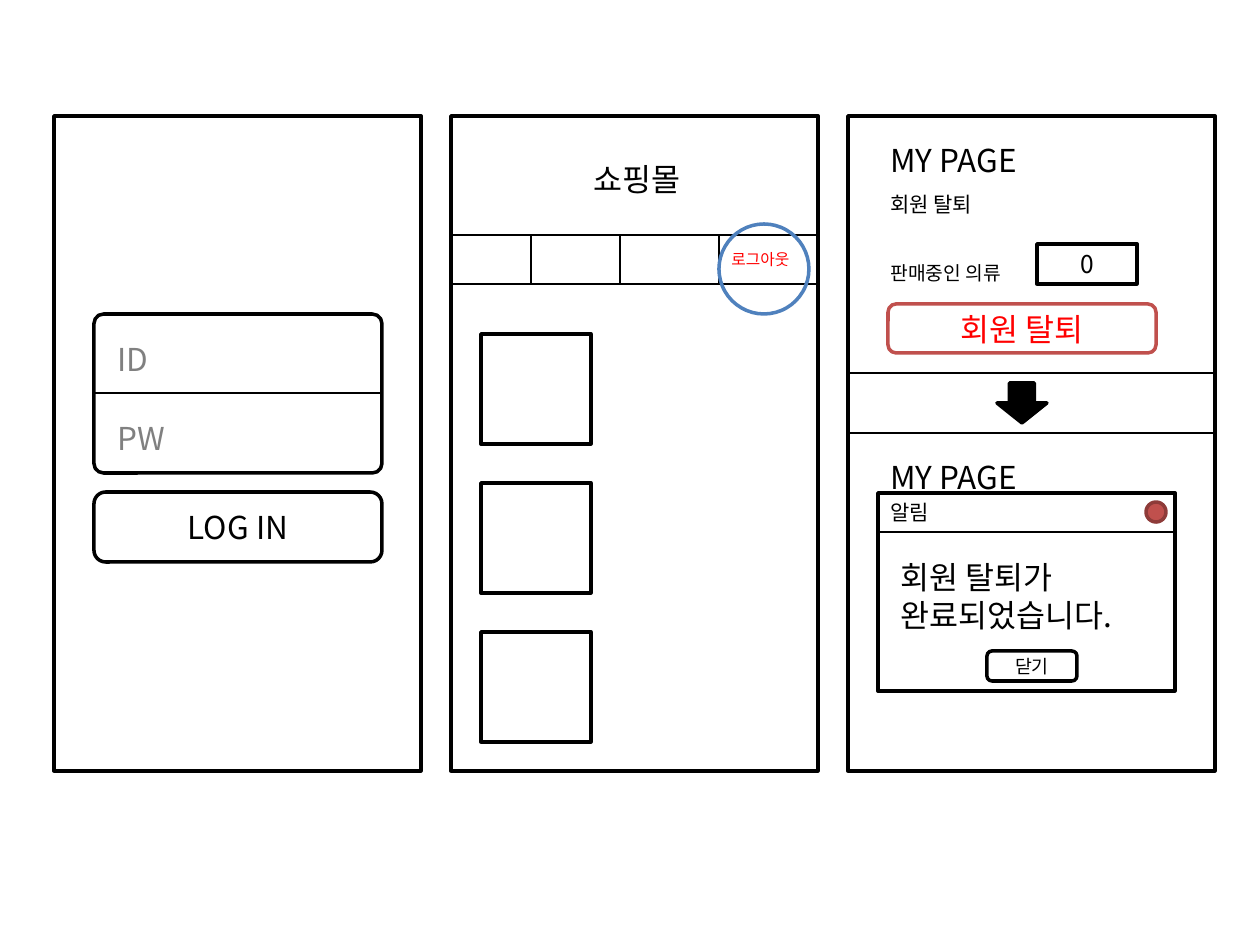
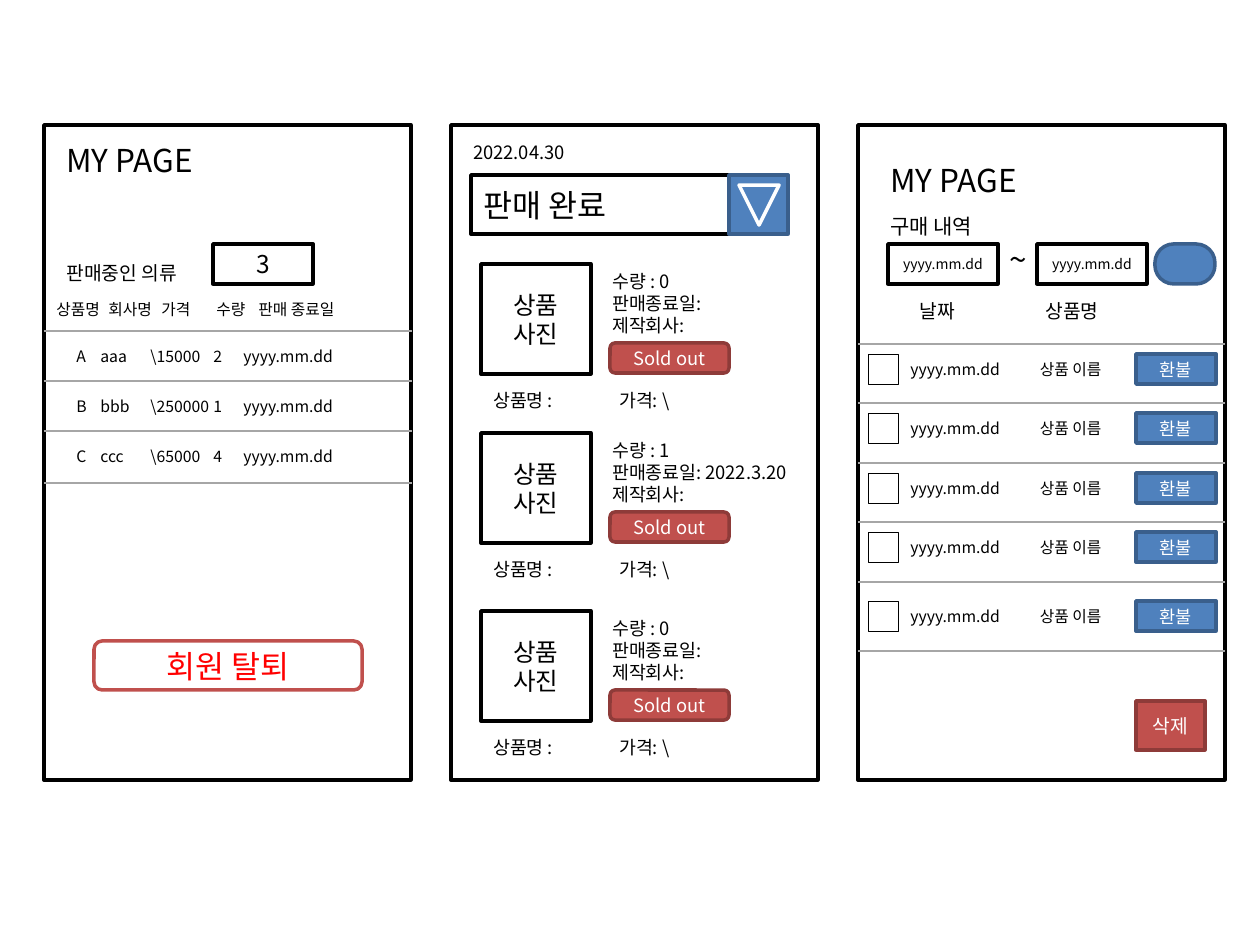
from lxml import etree
from pptx import Presentation
from pptx.dml.color import RGBColor
from pptx.enum.shapes import MSO_CONNECTOR, MSO_SHAPE as SHP
from pptx.enum.text import MSO_ANCHOR, PP_ALIGN
from pptx.oxml.ns import qn
from pptx.util import Pt

PX = 914400 / 126  # EMU per px
FONT = "Noto Sans CJK KR"
C = {
    "black": "000000", "white": "FFFFFF", "hint": "808080", "rule": "A6A6A6",
    "blue": "4F81BD", "navy": "3A5F8C", "red": "C0504D", "maroon": "8E3B39",
    "alert": "FF0000",
}
PANEL_W, PANEL_H = 367, 655
RECT, ROUND = SHP.RECTANGLE, SHP.ROUNDED_RECTANGLE
WITHDRAW = dict(text="회원 탈퇴", size=18, color="alert", line="red")
SOLID_BLUE = dict(fill="blue", line="navy", color="white")
SOLID_RED = dict(fill="red", line="maroon", color="white")


def box(s, kind, x, y, w, h, text="", size=18, color="black", fill="white",
        line="black", width=2, align=PP_ALIGN.CENTER, tabs=()):
    """Add a preset shape, or a plain text box when kind is None."""
    frame = [round(v * PX) for v in (x, y, w, h)]
    if kind is None:
        sp = s.shapes.add_textbox(*frame)
        align = PP_ALIGN.LEFT
    else:
        sp = s.shapes.add_shape(kind, *frame)
        sp.shadow.inherit = False
        if fill:
            sp.fill.solid()
            sp.fill.fore_color.rgb = RGBColor.from_string(C[fill])
        else:
            sp.fill.background()
        sp.line.color.rgb = RGBColor.from_string(C[line])
        sp.line.width = Pt(width)
        sp.text_frame.vertical_anchor = MSO_ANCHOR.MIDDLE
    tf = sp.text_frame
    tf.word_wrap = True
    if not text:
        return sp
    for i, words in enumerate(text.split("\n")):
        p = tf.add_paragraph() if i else tf.paragraphs[0]
        p.add_run().text = words
        p.alignment = align
        p.font.size = Pt(size)
        p.font.color.rgb = RGBColor.from_string(C[color])
        p.font.name = FONT
        pPr = p._p.pPr
        etree.SubElement(pPr.find(qn("a:defRPr")), qn("a:ea"), typeface=FONT)
        if tabs:
            stops = etree.Element(qn("a:tabLst"))
            for t in tabs:
                etree.SubElement(stops, qn("a:tab"), pos=str(round(t * PX)), algn="l")
            pPr.insert(0, stops)
    return sp


def rule(s, x1, y1, x2, y2, width=1.5, color="black"):
    """Add a straight line without a shadow."""
    ends = [round(v * PX) for v in (x1, y1, x2, y2)]
    cx = s.shapes.add_connector(MSO_CONNECTOR.STRAIGHT, *ends)
    cx.line.color.rgb = RGBColor.from_string(C[color])
    cx.line.width = Pt(width)
    etree.SubElement(cx._element.spPr, qn("a:effectLst"))


prs = Presentation()
prs.slide_width, prs.slide_height = round(1260 * PX), round(945 * PX)

# Slide 1: login, shop and account withdrawal
s = prs.slides.add_slide(prs.slide_layouts[6])
for i in range(3):
    box(s, RECT, 54 + 397 * i, 116, PANEL_W, PANEL_H)

# Login panel
box(s, ROUND, 94, 314, 288, 159).adjustments[0] = 0.06
rule(s, 94, 393, 382, 393)
for label, y in (("ID", 334), ("PW", 413)):
    box(s, None, 105, y, 79, 50, label, color="hint")
box(s, ROUND, 94, 492, 288, 70, "LOG IN")

# Shop panel
box(s, None, 581, 154, 169, 50, "쇼핑몰")
for i in range(3):
    box(s, RECT, 481, 334 + 149 * i, 110, 110)
for y in (235, 284):
    rule(s, 451, y, 819, y)
for x in (531, 620, 719):
    rule(s, x, 235, x, 284, 1)
box(s, None, 719, 244, 90, 32, "로그아웃", 9, "alert")
box(s, SHP.OVAL, 719, 224, 90, 90, fill=None, line="blue")

# Account panel: before withdrawal
box(s, None, 878, 135, 208, 50, "MY PAGE")
box(s, None, 878, 185, 139, 38, "회원 탈퇴", 12)
box(s, None, 878, 255, 149, 37, "판매중인 의류", 11)
box(s, RECT, 1037, 244, 100, 40, "0", 14)
box(s, ROUND, 888, 304, 268, 49, **WITHDRAW)
for y in (373, 433):
    rule(s, 848, y, 1216, y)
box(s, SHP.DOWN_ARROW, 997, 383, 50, 40, fill="black")

# Account panel: confirmation dialog
box(s, RECT, 878, 493, 297, 198)
box(s, None, 878, 452, 208, 50, "MY PAGE")
rule(s, 878, 532, 1176, 532)
box(s, SHP.OVAL, 1146, 502, 20, 20, **SOLID_RED)
box(s, None, 878, 493, 129, 38, "알림", 12)
box(s, None, 888, 552, 258, 89, "회원 탈퇴가\n완료되었습니다.")
box(s, ROUND, 987, 651, 90, 30, "닫기", 10.5)

# Slide 2: items on sale, completed sales and purchases
s = prs.slides.add_slide(prs.slide_layouts[6])
for i in range(3):
    box(s, RECT, 44 + 407 * i, 125, PANEL_W, PANEL_H)

# Items on sale
box(s, None, 54, 135, 208, 50, "MY PAGE")
box(s, None, 54, 255, 149, 37, "판매중인 의류", 11)
box(s, RECT, 213, 244, 100, 40, "3", 14)
box(s, None, 44, 293, 377, 32, "상품명\t회사명\t가격\t수량\t판매 종료일", 9,
    tabs=(52, 105, 160, 202))
items = [("A", "aaa", "\\15000", "2"), ("B", "bbb", "\\250000", "1"),
         ("C", "ccc", "\\65000", "4")]
for i, item in enumerate(items):
    box(s, None, 64, 341 + 50 * i, 328, 32, "\t".join(item + ("yyyy.mm.dd",)), 9,
        tabs=(24, 74, 137, 167))
for y in (331, 381, 431, 483):
    rule(s, 44, y, 412, y, 0.75, "rule")
box(s, ROUND, 94, 641, 268, 49, **WITHDRAW)

# Completed sales: date and drop-down
box(s, None, 461, 135, 328, 37, "2022.04.30", 10.5)
box(s, RECT, 471, 175, 258, 59, "판매 완료", align=PP_ALIGN.LEFT)
box(s, RECT, 729, 175, 59, 59, **SOLID_BLUE)
box(s, SHP.ISOSCELES_TRIANGLE, 739, 185, 40, 40, fill="blue", line="white").rotation = 180

# Completed sales: product cards
for y, count, end in ((264, 0, ""), (433, 1, " 2022.3.20"), (611, 0, "")):
    box(s, RECT, 481, y, 110, 110, "상품\n사진", 14)
    box(s, None, 600, y, 208, 79, f"수량 : {count}\n판매종료일:{end}\n제작회사:", 10.5)
    box(s, None, 481, y + 119, 277, 35, "상품명 : \t가격: \\", 10.5, tabs=(126,))
    box(s, ROUND, 610, y + 79, 119, 30, "Sold out", 10.5, **SOLID_RED)

# Purchases: period filter
box(s, None, 878, 155, 208, 50, "MY PAGE")
box(s, None, 878, 207, 139, 38, "구매 내역", 12)
for x in (888, 1037):
    box(s, RECT, x, 244, 110, 40, "yyyy.mm.dd", 8)
box(s, None, 997, 234, 49, 50, "~")
box(s, ROUND, 1155, 244, 60, 40, **SOLID_BLUE).adjustments[0] = 0.47

# Purchases: list with refund buttons
box(s, None, 907, 293, 318, 37, "날짜\t상품명", 11, tabs=(126,))
for y in (344, 403, 463, 522, 582, 651):
    rule(s, 858, y, 1225, y, 0.75, "rule")
for y in (354, 413, 473, 532, 601):
    box(s, RECT, 868, y, 30, 30, width=0.25)
    box(s, None, 898, y, 238, 32, "yyyy.mm.dd \t 상품 이름", 9, tabs=(126,))
    box(s, RECT, 1136, y, 80, 30, "환불", 10, **SOLID_BLUE)
box(s, RECT, 1136, 701, 69, 49, "삭제", 11, **SOLID_RED)

prs.save("out.pptx")
